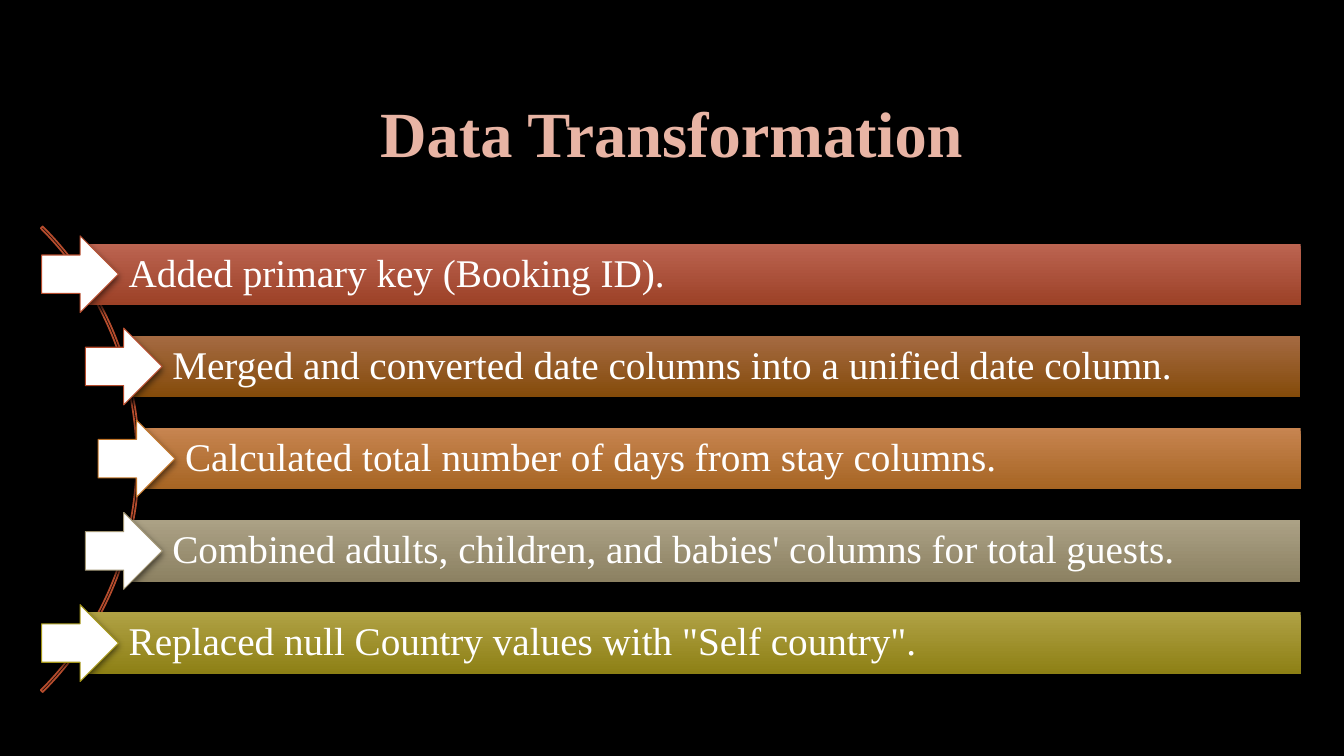
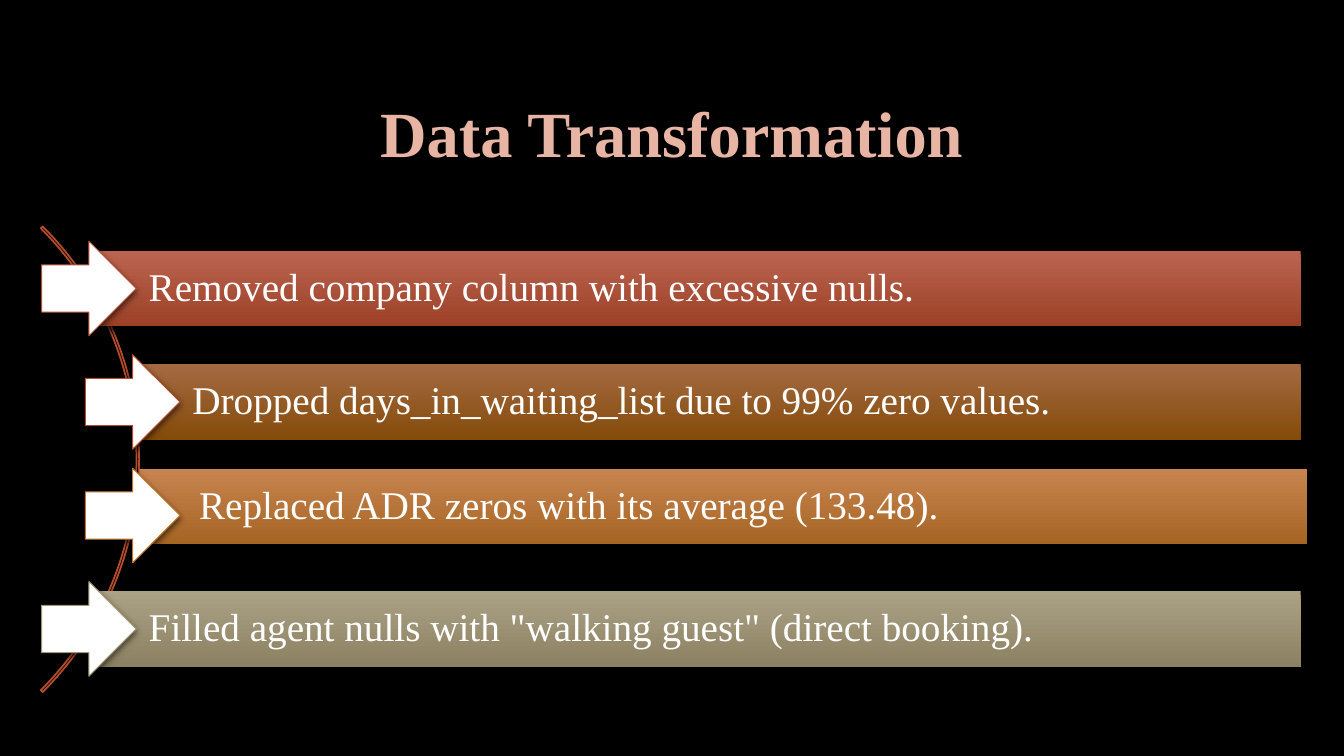
from lxml import etree
from pptx import Presentation
from pptx.dml.color import RGBColor
from pptx.enum.shapes import MSO_SHAPE
from pptx.enum.text import MSO_ANCHOR, PP_ALIGN
from pptx.oxml.ns import qn
from pptx.util import Inches, Pt

RECTANGLE = MSO_SHAPE.RECTANGLE
RIGHT_ARROW = MSO_SHAPE.RIGHT_ARROW
BLOCK_ARC = MSO_SHAPE.BLOCK_ARC
MIDDLE = MSO_ANCHOR.MIDDLE
CENTER = PP_ALIGN.CENTER
LEFT = PP_ALIGN.LEFT

WIDTH = Inches(13.33)
HEIGHT = Inches(7.5)
FONT = "Times New Roman"
TITLE_ONLY = 5
COLORS = {
    "background": "000000",
    "shadow": "000000",
    "white": "FFFFFF",
    "title": "E8B4A4",
    "accent": "B54C2D",
}
BAR_STYLES = [
    ("BC6451", "9C4127", "B54C2D"),
    ("A56A42", "844B0A", "B54C2D"),
    ("C78450", "A66523", "C17529"),
    ("ABA185", "8C8162", "A19574"),
    ("B0A144", "8D8015", "A49518"),
]
TITLE = "Data Transformation"
STEP_LISTS = [
    {
        "steps": [
            "Added primary key (Booking ID).",
            "Merged and converted date columns into a unified date column.",
            "Calculated total number of days from stay columns.",
            "Combined adults, children, and babies' columns for total guests.",
            'Replaced null Country values with "Self country".',
        ],
        "indents": [0, 3.25, 4.2, 3.25, 0],
        "nudges": {},
    },
    {
        "steps": [
            "Removed company column with excessive nulls.",
            "Dropped days_in_waiting_list due to 99% zero values.",
            "Replaced ADR zeros with its average (133.48).",
            'Filled agent nulls with "walking guest" (direct booking).',
        ],
        "indents": [0, 3.25, 3.25, 0],
        "nudges": {2: (0.5, -1.2)},
    },
]


def across(percent):
    return int(WIDTH * percent / 100)


def down(percent):
    return int(HEIGHT * percent / 100)


LIST_LEFT = across(3.1)
LIST_RIGHT = across(96.77)
LIST_TOP = down(28.15)
LIST_HEIGHT = down(65.05)


def rgb(value):
    return RGBColor.from_string(value)


def set_font(paragraph, size, color, bold=False):
    paragraph.line_spacing = 0.9
    font = paragraph.font
    font.name = FONT
    font.size = Pt(size)
    font.bold = bold
    font.color.rgb = rgb(color)


def add_color(parent, color, opacity=100):
    element = etree.SubElement(parent, qn("a:srgbClr"), val=color)
    if opacity < 100:
        etree.SubElement(element, qn("a:alpha"), val=str(opacity * 1000))


def add_text_outline(paragraph, color, width):
    properties = paragraph.font._element if hasattr(paragraph.font, "_element") else paragraph.font._rPr
    outline = etree.Element(qn("a:ln"), w=str(Pt(width)))
    add_color(etree.SubElement(outline, qn("a:solidFill")), color)
    properties.insert(0, outline)


def add_shadow(shape, opacity, blur, distance):
    shape.shadow.inherit = False
    effects = shape._element.spPr.find(qn("a:effectLst"))
    shadow = etree.SubElement(
        effects, qn("a:outerShdw"), blurRad=str(Pt(blur)),
        dist=str(Pt(distance)), dir="5400000", rotWithShape="0",
    )
    add_color(shadow, COLORS["shadow"], opacity)


def set_line(shape, color, width):
    shape.line.color.rgb = rgb(color)
    shape.line.width = Pt(width)


def format_title(slide):
    title = slide.shapes.title
    title.left, title.top = across(7.5), down(8.93)
    title.width, title.height = across(84.9), down(18.4)
    title.text_frame.text = TITLE
    title.text_frame.vertical_anchor = MIDDLE
    paragraph = title.text_frame.paragraphs[0]
    paragraph.alignment = CENTER
    set_font(paragraph, 46, COLORS["title"], bold=True)
    add_text_outline(paragraph, COLORS["accent"], 1.75)


def add_arc(slide):
    size = across(49)
    arc = slide.shapes.add_shape(BLOCK_ARC, across(-38.65), down(17.2), size, size)
    for index, value in enumerate((189, 27, 0.004)):
        arc.adjustments[index] = value
    arc.shadow.inherit = False
    arc.fill.background()
    set_line(arc, COLORS["accent"], 1.25)


def add_bar(slide, text, left, top, width, height, gradient):
    bar = slide.shapes.add_shape(RECTANGLE, left, top, width, height)
    bar.fill.gradient()
    bar.fill.gradient_angle = 270
    for stop, position, color in zip(bar.fill.gradient_stops, (0, 1), gradient):
        stop.position = position
        stop.color.rgb = rgb(color)
    bar.line.fill.background()
    add_shadow(bar, 75, 6, 3)
    frame = bar.text_frame
    frame.word_wrap = True
    frame.vertical_anchor = MIDDLE
    frame.margin_left = int(height * 0.79)
    frame.margin_right = frame.margin_top = frame.margin_bottom = Inches(0.08)
    frame.text = text
    paragraph = frame.paragraphs[0]
    paragraph.alignment = LEFT
    set_font(paragraph, 28, COLORS["white"])


def add_arrow(slide, left, top, size, color):
    arrow = slide.shapes.add_shape(RIGHT_ARROW, left, top, size, size)
    arrow.fill.solid()
    arrow.fill.fore_color.rgb = rgb(COLORS["white"])
    set_line(arrow, color, 0.75)
    add_shadow(arrow, 60, 5, 2)


def add_steps(slide, steps, indents, nudges):
    bar_height = int(LIST_HEIGHT / (1.5 * len(steps) + 0.5))
    gap = bar_height // 2
    arrow_size = int(bar_height * 1.25)
    for index, (text, indent, style) in enumerate(zip(steps, indents, BAR_STYLES)):
        top = LIST_TOP + gap + index * (bar_height + gap)
        arrow_left = LIST_LEFT + across(indent)
        bar_left = arrow_left + arrow_size // 2
        shift_x, shift_y = nudges.get(index, (0, 0))
        add_bar(slide, text, bar_left + across(shift_x), top + down(shift_y),
                LIST_RIGHT - bar_left, bar_height, style[:2])
        add_arrow(slide, arrow_left, top - (arrow_size - bar_height) // 2,
                  arrow_size, style[2])


def main():
    presentation = Presentation()
    presentation.slide_width = WIDTH
    presentation.slide_height = HEIGHT
    background = presentation.slide_master.background.fill
    background.solid()
    background.fore_color.rgb = rgb(COLORS["background"])
    for step_list in STEP_LISTS:
        slide = presentation.slides.add_slide(presentation.slide_layouts[TITLE_ONLY])
        format_title(slide)
        add_arc(slide)
        add_steps(slide, **step_list)
    presentation.save("out.pptx")


if __name__ == "__main__":
    main()
